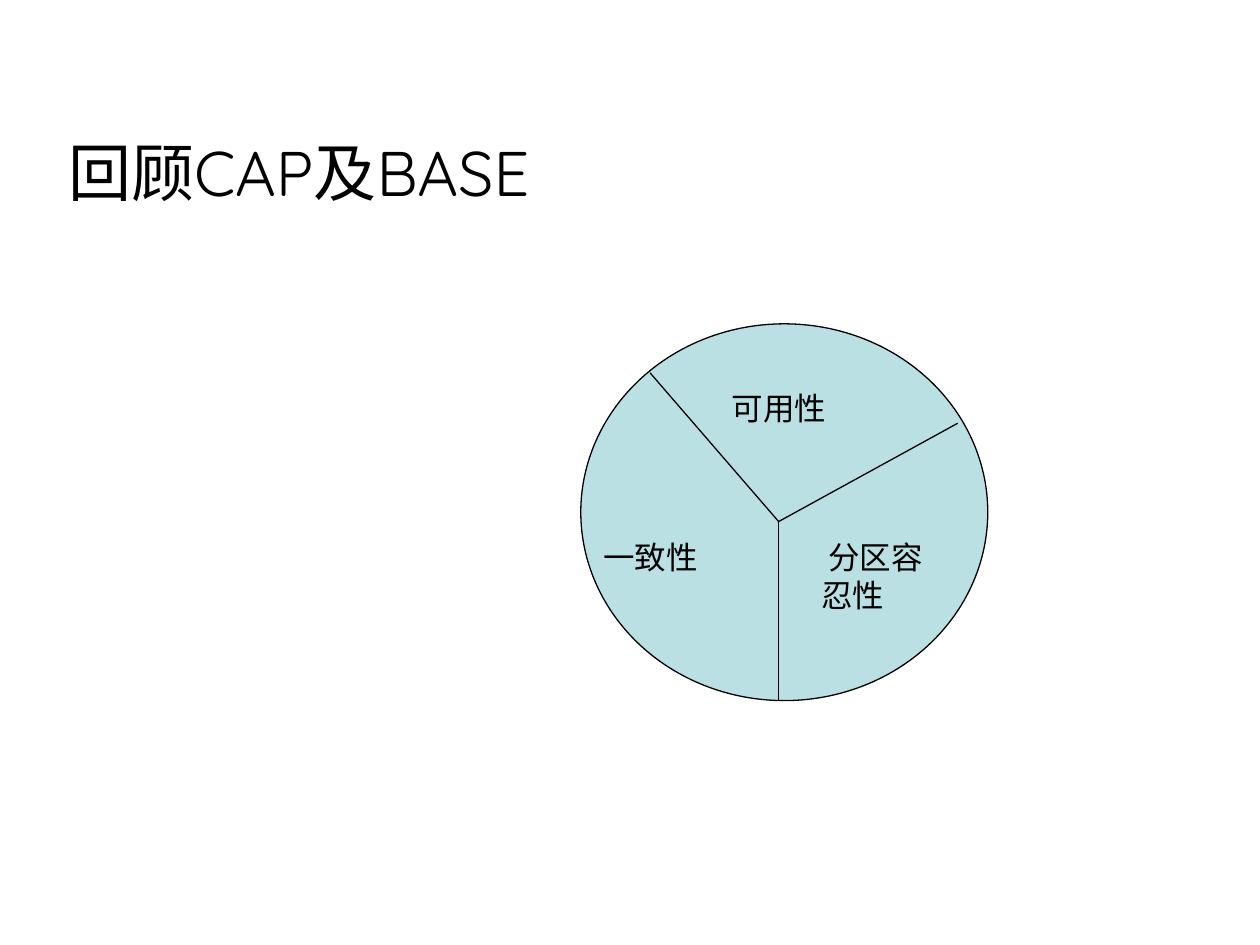
from lxml import etree
from pptx import Presentation
from pptx.dml.color import RGBColor
from pptx.enum.shapes import MSO_CONNECTOR, MSO_SHAPE
from pptx.enum.text import MSO_ANCHOR, PP_ALIGN
from pptx.oxml.ns import qn
from pptx.util import Inches, Pt

OVAL = MSO_SHAPE.OVAL
STRAIGHT = MSO_CONNECTOR.STRAIGHT
LEFT = PP_ALIGN.LEFT
TOP, MIDDLE = MSO_ANCHOR.TOP, MSO_ANCHOR.MIDDLE

BLACK = RGBColor(0x00, 0x00, 0x00)
PALE_TEAL = RGBColor(0xBB, 0xE0, 0xE3)

SLIDE_WIDTH, SLIDE_HEIGHT = 10, 7.5
TITLE_BOX = (0.44, 0.85, 8.98, 1.02)
CIRCLE_BOX = (4.61, 2.57, 3.23, 2.99)

# Points as shares of the circle's box
HUB = (0.486, 0.525)
SPOKE_ENDS = [(0.17, 0.13), (0.486, 1), (0.926, 0.264)]
LABELS = [
    ("可用性", (0.34, 0.157), 0.4),
    ("一致性", (0.025, 0.552), 0.4),
    (" 分区容忍性", (0.56, 0.552), 0.7),
]
LABEL_WIDTH = 1.18


def point_in(box, share):
    left, top, width, height = box
    return left + share[0] * width, top + share[1] * height


def inches(values):
    return [Inches(value) for value in values]


def write_text(shape, text, size=18, font="Arial", color=BLACK, anchor=TOP):
    frame = shape.text_frame
    frame.word_wrap = True
    frame.vertical_anchor = anchor
    frame.margin_left = frame.margin_right = Inches(0.1)
    frame.margin_top = frame.margin_bottom = Inches(0.05)
    para = frame.paragraphs[0]
    para.alignment = LEFT
    span = para.add_run()
    span.text = text
    span.font.size = Pt(size)
    span.font.name = font
    span.font.color.rgb = color


def outline(shape):
    shape.line.color.rgb = BLACK
    shape.line.width = Pt(0.75)


def add_title(page, box):
    title = page.shapes.title
    title.left, title.top, title.width, title.height = inches(box)
    write_text(title, "回顾CAP及BASE", size=36, font="Quicksand", anchor=MIDDLE)


def add_cap_circle(page, box):
    # Disc
    disc = page.shapes.add_shape(OVAL, *inches(box))
    disc.shadow.inherit = False
    disc.fill.solid()
    disc.fill.fore_color.rgb = PALE_TEAL
    outline(disc)

    # Spokes that split the disc into three sectors
    for end in SPOKE_ENDS:
        ends = point_in(box, HUB) + point_in(box, end)
        spoke = page.shapes.add_connector(STRAIGHT, *inches(ends))
        outline(spoke)
        etree.SubElement(spoke.element.spPr, qn("a:effectLst"))

    # Sector labels
    for text, corner, height in LABELS:
        place = (*point_in(box, corner), LABEL_WIDTH, height)
        write_text(page.shapes.add_textbox(*inches(place)), text)


def main():
    deck = Presentation()
    deck.slide_width, deck.slide_height = inches((SLIDE_WIDTH, SLIDE_HEIGHT))
    page = deck.slides.add_slide(deck.slide_layouts.get_by_name("Title Only"))
    add_title(page, TITLE_BOX)
    add_cap_circle(page, CIRCLE_BOX)
    deck.save("out.pptx")


if __name__ == "__main__":
    main()
